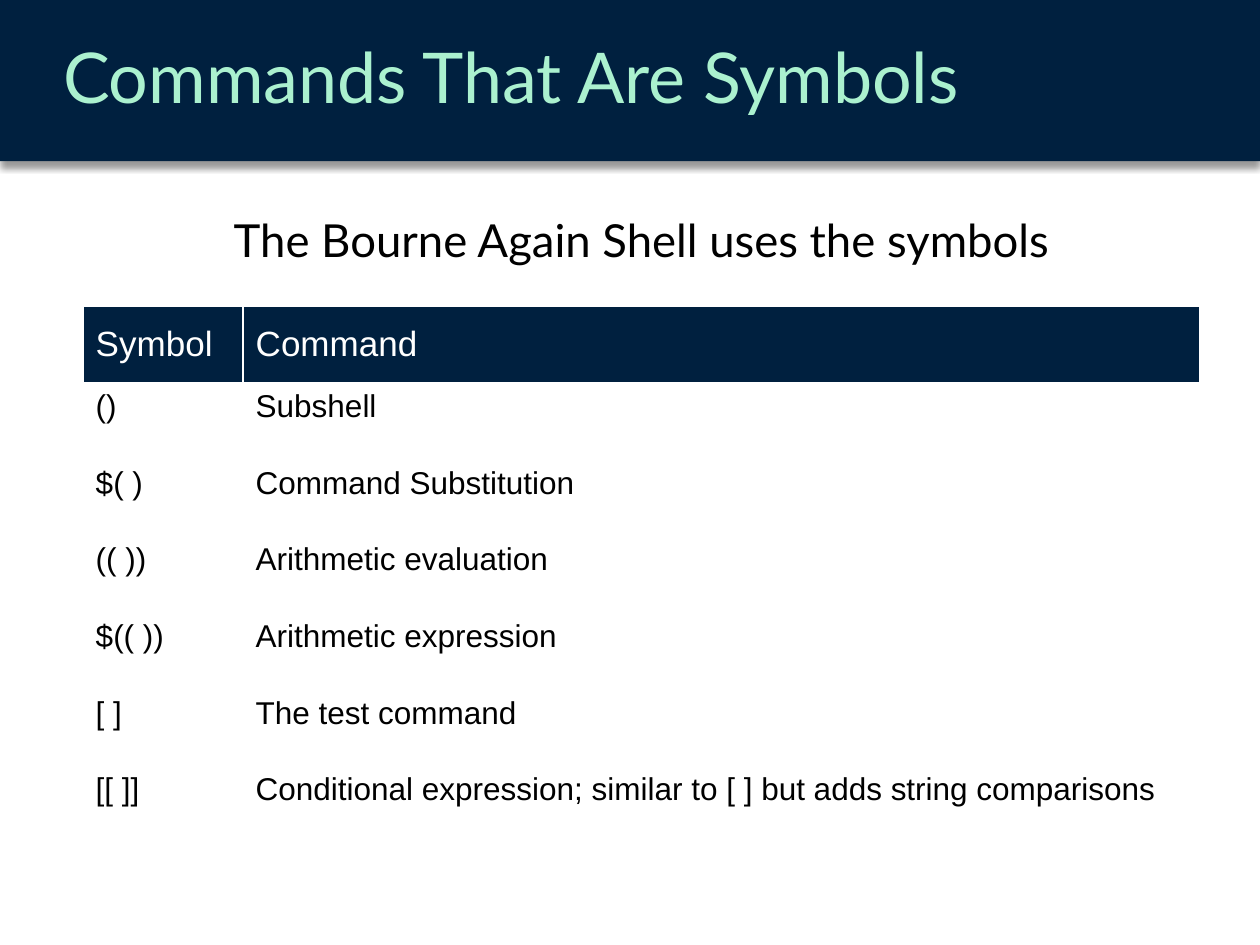
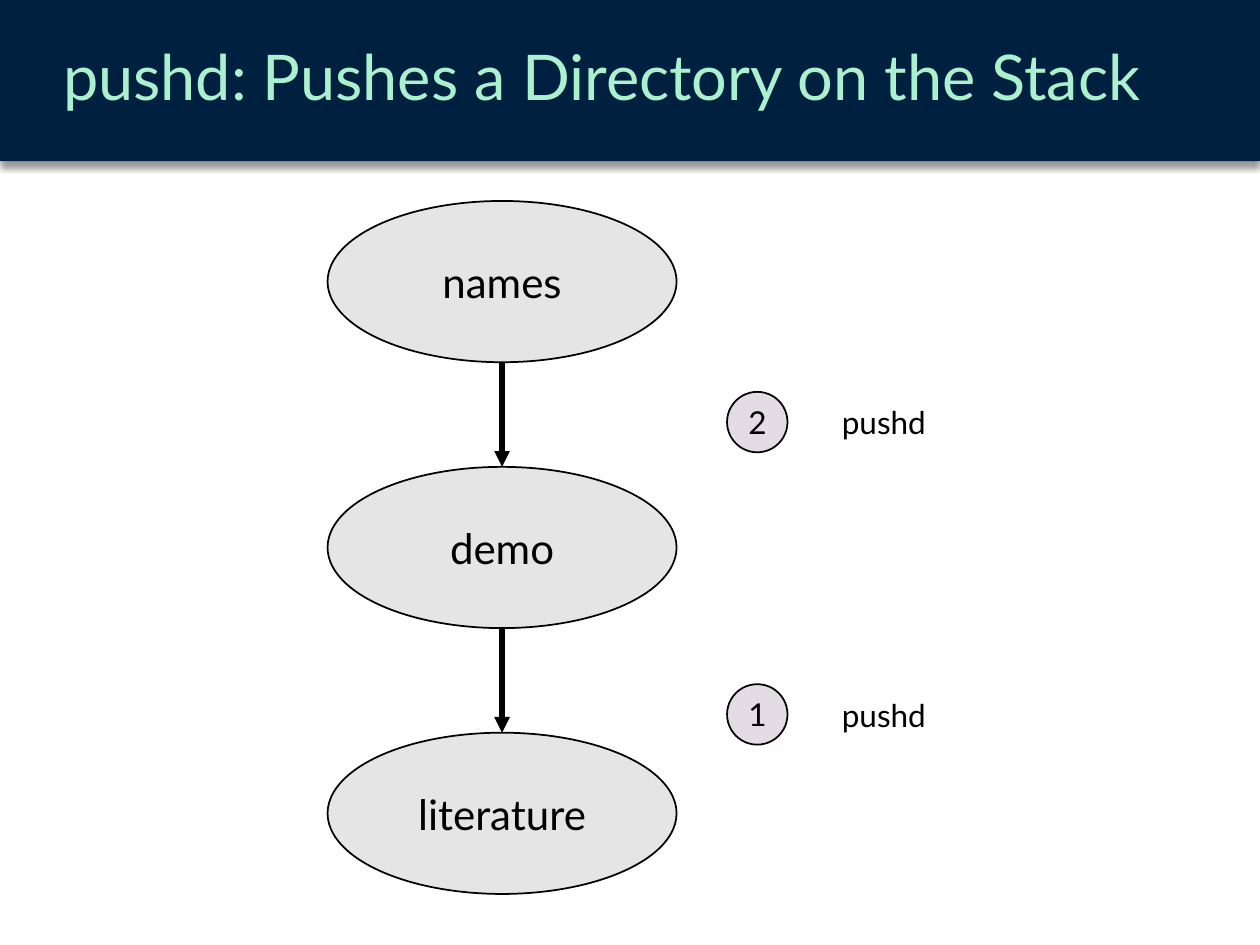
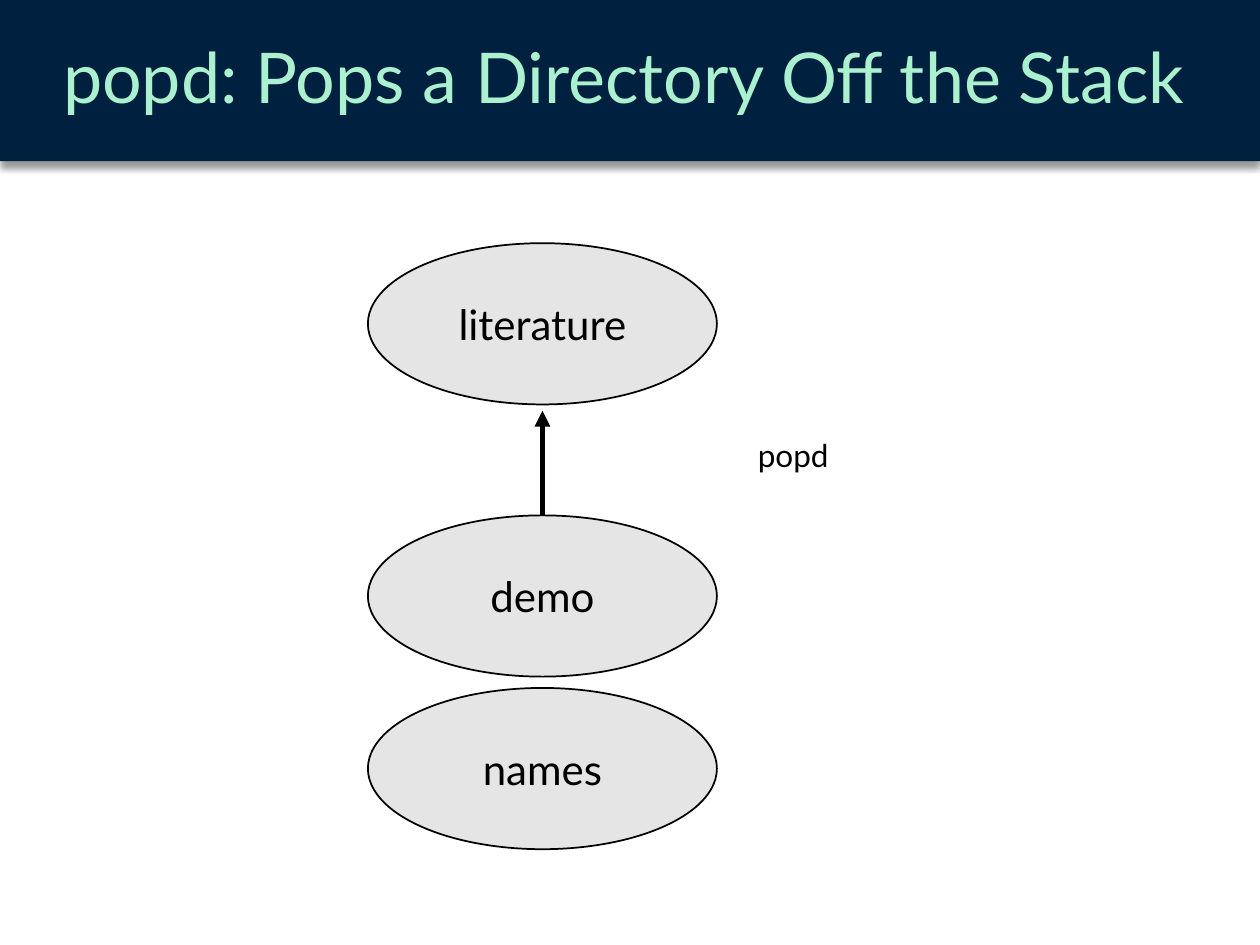
from lxml.etree import SubElement
from pptx import Presentation
from pptx.dml.color import RGBColor
from pptx.enum.shapes import MSO_CONNECTOR, MSO_SHAPE
from pptx.enum.text import MSO_ANCHOR, MSO_AUTO_SIZE, PP_ALIGN
from pptx.oxml import parse_xml
from pptx.oxml.ns import nsdecls, qn
from pptx.util import Inches, Pt

NAVY = RGBColor(0x00, 0x20, 0x3F)
MINT = RGBColor(0xAB, 0xF1, 0xCF)
GREY = RGBColor(0xE5, 0xE5, 0xE5)
LILAC = RGBColor(0xE3, 0xDC, 0xE4)
BLACK = RGBColor(0x00, 0x00, 0x00)
WHITE = RGBColor(0xFF, 0xFF, 0xFF)

HEADING_FONT = "Lato"
TABLE_FONT = "Arial"

# The slide is a grid of 100 columns by 75 rows of square cells.
COLUMNS, ROWS = 100, 75
CELL = Inches(0.1)
BAND_ROWS = 12.8
OVAL_COLUMNS, OVAL_ROWS = 27.7, 12.8
BADGE = 4.8
LABEL_COLUMNS, LABEL_ROWS = 15.5, 4.2

BAND_SHADOW = (
    f'<a:effectLst {nsdecls("a")}>'
    f'<a:outerShdw blurRad="{Pt(4)}" dist="{Pt(3)}" dir="5400000" algn="t" rotWithShape="0">'
    '<a:srgbClr val="000000"><a:alpha val="40000"/></a:srgbClr>'
    "</a:outerShdw></a:effectLst>"
)

SYMBOLS = [
    ("Symbol", "Command"),
    ("()", "Subshell"),
    ("$( )", "Command Substitution"),
    ("(( ))", "Arithmetic evaluation"),
    ("$(( ))", "Arithmetic expression"),
    ("[ ]", "The test command"),
    ("[[ ]]", "Conditional expression; similar to [ ] but adds string comparisons"),
]


def grid(*cells):
    """Turn counts of grid cells into lengths."""
    return [round(count * CELL) for count in cells]


def write(frame, words, *, size, color=BLACK, font=HEADING_FONT,
          align=PP_ALIGN.CENTER, anchor=MSO_ANCHOR.MIDDLE, spacing=1.0, after=0):
    frame.word_wrap = True
    frame.vertical_anchor = anchor
    paragraph = frame.paragraphs[0]
    paragraph.alignment = align
    paragraph.line_spacing = spacing
    paragraph.space_before = Pt(0)
    paragraph.space_after = Pt(after)
    run = paragraph.add_run()
    run.text = words
    run.font.size = Pt(size)
    run.font.name = font
    run.font.color.rgb = color


class Deck:
    """Holds the shared style and the slide being filled."""

    def __init__(self):
        self.presentation = Presentation()
        self.presentation.slide_width, self.presentation.slide_height = grid(COLUMNS, ROWS)
        self.layout = self.presentation.slide_layouts.get_by_name("Title Only")
        self.slide = None

    def start_slide(self, title, size=40):
        first = self.slide is None
        self.slide = self.presentation.slides.add_slide(self.layout)
        if first:
            self.band_on_layout()
        heading = self.slide.shapes.title
        heading.left, heading.top, heading.width, heading.height = grid(4, 0, 96, BAND_ROWS)
        heading.text_frame.auto_size = MSO_AUTO_SIZE.NONE
        write(heading.text_frame, title, size=size, color=MINT,
              align=PP_ALIGN.LEFT, spacing=0.9, after=6)

    def band_on_layout(self):
        """Draw the title band and move it behind everything on the layout."""
        band = self.shape(MSO_SHAPE.RECTANGLE, 0, 0, COLUMNS, BAND_ROWS, NAVY)
        band.line.fill.background()
        properties = band._element.spPr
        properties.remove(properties.find(qn("a:effectLst")))
        properties.append(parse_xml(BAND_SHADOW))
        band._element.nvSpPr.cNvPr.set("id", "100")
        self.layout.shapes._spTree.insert(2, band._element)

    def shape(self, preset, left, top, width, height, fill):
        shape = self.slide.shapes.add_shape(preset, *grid(left, top, width, height))
        shape.shadow.inherit = False
        shape.fill.solid()
        shape.fill.fore_color.rgb = fill
        shape.line.color.rgb = BLACK
        shape.line.width = Pt(1)
        return shape

    def directory(self, name, left, top):
        oval = self.shape(MSO_SHAPE.OVAL, left, top, OVAL_COLUMNS, OVAL_ROWS, GREY)
        write(oval.text_frame, name, size=24)

    def badge(self, number, left, top):
        circle = self.shape(MSO_SHAPE.FLOWCHART_CONNECTOR, left, top, BADGE, BADGE, LILAC)
        write(circle.text_frame, number, size=18)

    def text(self, words, left, top, width=LABEL_COLUMNS, height=LABEL_ROWS, **style):
        box = self.slide.shapes.add_textbox(*grid(left, top, width, height))
        write(box.text_frame, words, **{"size": 18, **style})

    def arrow(self, column, start, end):
        """Draw a vertical arrow from one row to another."""
        arrow = self.slide.shapes.add_connector(
            MSO_CONNECTOR.STRAIGHT, *grid(column, start, column, end))
        arrow.line.color.rgb = BLACK
        arrow.line.width = Pt(3)
        SubElement(arrow.line._get_or_add_ln(), qn("a:tailEnd"), type="triangle")
        SubElement(arrow._element.spPr, qn("a:effectLst"))

    def table(self, rows, left, top, widths, row_height):
        table = self.slide.shapes.add_table(
            len(rows), len(widths),
            *grid(left, top, sum(widths), row_height * len(rows))).table
        table.first_row = table.horz_banding = False
        for column, width in zip(table.columns, grid(*widths)):
            column.width = width
        for index, entries in enumerate(rows):
            for cell, entry in zip(table.rows[index].cells, entries):
                self.cell(cell, entry, is_header=index == 0)

    def cell(self, cell, entry, is_header):
        for side in ("L", "R", "T", "B"):
            border = SubElement(cell._tc.get_or_add_tcPr(), qn(f"a:ln{side}"), w=str(Pt(1)))
            fill = SubElement(border, qn("a:solidFill"))
            SubElement(fill, qn("a:srgbClr"), val=str(WHITE))
        cell.fill.solid()
        cell.fill.fore_color.rgb = NAVY if is_header else WHITE
        write(cell.text_frame, entry, size=20 if is_header else 18, font=TABLE_FONT,
              color=WHITE if is_header else BLACK, align=PP_ALIGN.LEFT)
        cell.vertical_anchor = MSO_ANCHOR.MIDDLE if is_header else MSO_ANCHOR.TOP


def symbols_slide(deck):
    deck.start_slide("Commands That Are Symbols")
    deck.text("The Bourne Again Shell uses the symbols", 4, 14.2, 93.9, 59.1,
              size=26, anchor=MSO_ANCHOR.TOP, spacing=1.5)
    deck.table(SYMBOLS, 6.6, 24.3, (12.7, 75.9), 6.08)


def pushd_slide(deck):
    deck.start_slide("pushd: Pushes a Directory on the Stack", size=36)
    left, top, step = 26, 15.95, 21.1
    names = ("names", "demo", "literature")
    for index, name in enumerate(names):
        deck.directory(name, left, top + index * step)
    for index in range(len(names) - 1):
        oval_top = top + index * step
        deck.arrow(left + OVAL_COLUMNS / 2, oval_top + OVAL_ROWS, oval_top + step)
    for number, middle in (("2", 33.5), ("1", 56.7)):
        deck.badge(number, 57.7, middle - BADGE / 2)
        deck.text("pushd", 62.4, middle - LABEL_ROWS / 2)


def popd_slide(deck):
    deck.start_slide("popd: Pops a Directory Off the Stack")
    left, popped_top, stack_top = 29.2, 19.3, 40.9
    deck.directory("demo", left, stack_top)
    deck.directory("names", left, stack_top + OVAL_ROWS + 0.9)
    deck.arrow(left + OVAL_COLUMNS / 2, stack_top, popped_top + OVAL_ROWS + 0.5)
    deck.directory("literature", left, popped_top)
    deck.text("popd", 55.2, 34)


def main():
    deck = Deck()
    for build in (symbols_slide, pushd_slide, popd_slide):
        build(deck)
    deck.presentation.save("out.pptx")


if __name__ == "__main__":
    main()
